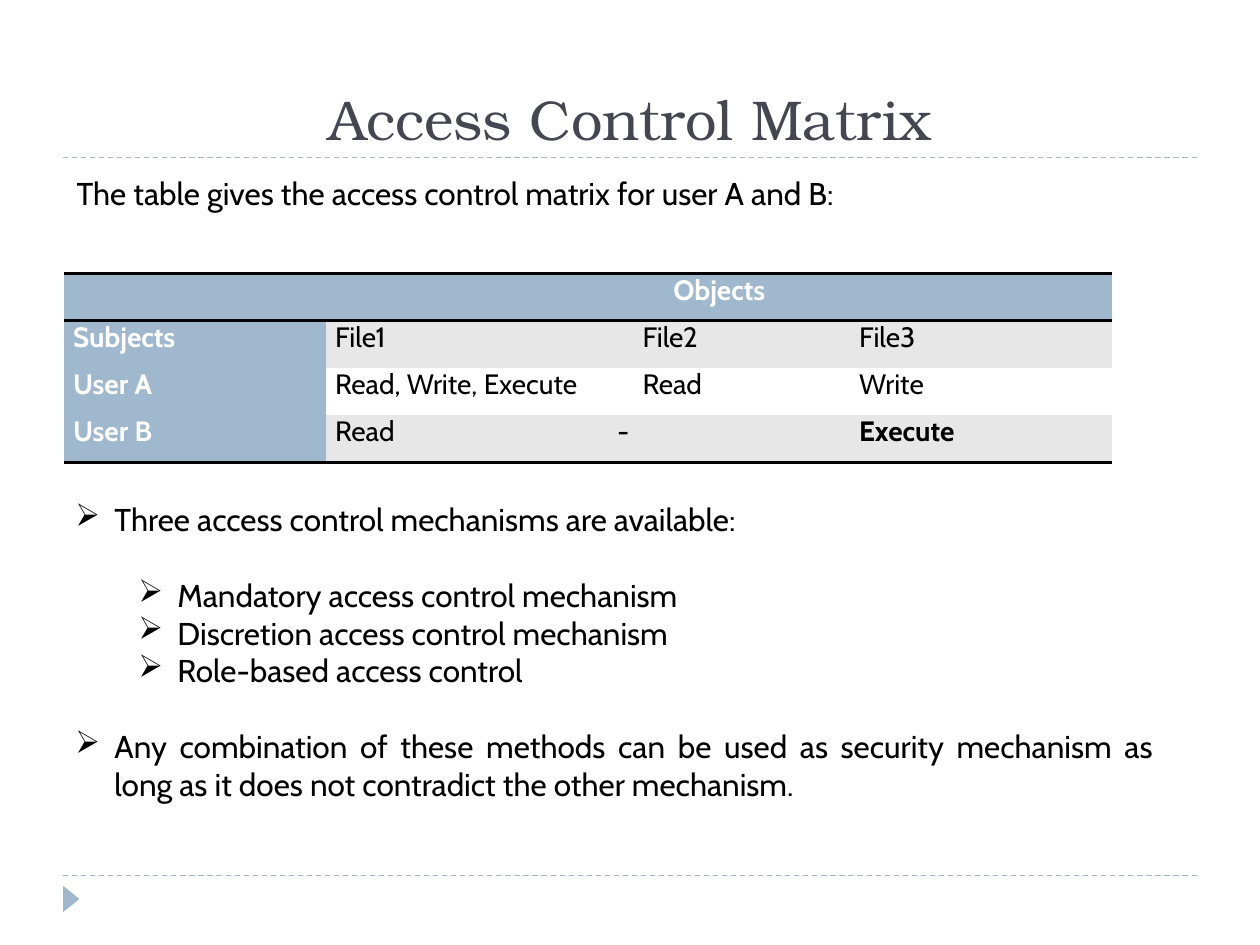
from lxml import etree
from pptx import Presentation
from pptx.dml.color import RGBColor
from pptx.enum.dml import MSO_LINE
from pptx.enum.shapes import MSO_CONNECTOR, MSO_SHAPE
from pptx.enum.text import MSO_ANCHOR, PP_ALIGN
from pptx.oxml import parse_xml
from pptx.oxml.ns import nsdecls, qn
from pptx.util import Inches, Pt

BLUE = RGBColor(0x9F, 0xB8, 0xCD)
GRAY = RGBColor(0xE7, 0xE7, 0xE7)
WHITE = RGBColor(0xFF, 0xFF, 0xFF)
BLACK = RGBColor(0, 0, 0)
SLATE = RGBColor(0x46, 0x46, 0x53)
NO_GRID_STYLE = "{2D5ABB26-0587-4C30-8999-92F81FD0307C}"


def style_paragraph(paragraph, size, color, name="Cabin", bold=False, align=PP_ALIGN.JUSTIFY):
    paragraph.alignment = align
    paragraph.font.name = name
    paragraph.font.size = Pt(size)
    paragraph.font.bold = bold
    paragraph.font.color.rgb = color


def add_text_frame(left, top, width, height):
    frame = slide.shapes.add_textbox(Inches(left), Inches(top), Inches(width), Inches(height)).text_frame
    frame.word_wrap = True
    return frame


presentation = Presentation()
presentation.slide_width, presentation.slide_height = Inches(10), Inches(7.5)
slide = presentation.slides.add_slide(presentation.slide_layouts[6])

for rule_top in (6.95, 1.25):
    rule = slide.shapes.add_connector(
        MSO_CONNECTOR.STRAIGHT, Inches(0.5), Inches(rule_top), Inches(9.5), Inches(rule_top))
    rule.line.color.rgb = BLUE
    rule.line.width = Pt(0.75)
    rule.line.dash_style = MSO_LINE.DASH
    etree.SubElement(rule._element.spPr, qn("a:effectLst"))

marker = slide.shapes.add_shape(
    MSO_SHAPE.ISOSCELES_TRIANGLE, Inches(0.46), Inches(7.07), Inches(0.21), Inches(0.13))
marker.rotation = 90
marker.shadow.inherit = False
marker.fill.solid()
marker.fill.fore_color.rgb = BLUE
marker.line.fill.background()

matrix = [
    ["", "Objects", "", ""],
    ["Subjects", "File1", "File2", "File3"],
    ["User A", "Read, Write, Execute", "Read", "Write"],
    ["User B", "Read", "-", "Execute"],
]
column_widths = [2.08, 2.24, 1.92, 2.08]
table = slide.shapes.add_table(4, 4, Inches(0.51), Inches(2.17), Inches(8.32), Inches(1.5)).table
table.first_row = table.horz_banding = False
table._tbl.tblPr.find(qn("a:tableStyleId")).text = NO_GRID_STYLE
for column, width in zip(table.columns, column_widths):
    column.width = Inches(width)
table.cell(0, 1).merge(table.cell(0, 3))

for row_index, row_texts in enumerate(matrix):
    table.rows[row_index].height = Inches(1.5 / 4)
    for column_index, text in enumerate(row_texts):
        cell = table.cell(row_index, column_index)
        is_header = row_index == 0 or column_index == 0
        cell.margin_left = cell.margin_right = Inches(0.07)
        cell.margin_top = cell.margin_bottom = 0
        cell.fill.solid()
        cell.fill.fore_color.rgb = BLUE if is_header else GRAY if row_index % 2 else WHITE
        paragraph = cell.text_frame.paragraphs[0]
        paragraph.text = text
        paragraph.space_before, paragraph.space_after = Pt(10), Pt(6)
        style_paragraph(
            paragraph, 16, WHITE if is_header else BLACK, bold=is_header or text == "Execute",
            align=PP_ALIGN.JUSTIFY if row_index else PP_ALIGN.CENTER)
        if column_index == 2 and row_index in (1, 2):
            paragraph._p.get_or_add_pPr().set("marL", str(Inches(0.2)))
        edges = {0: ["lnT", "lnB"], 3: ["lnB"]}.get(row_index, [])
        for position, edge in enumerate(edges):
            cell._tc.get_or_add_tcPr().insert(position, parse_xml(
                f'<a:{edge} {nsdecls("a")} w="{Pt(2)}"><a:solidFill>'
                f'<a:srgbClr val="{BLACK}"/></a:solidFill></a:{edge}>'))

introduction = add_text_frame(0.51, 1.33, 8.17, 0.71).paragraphs[0]
introduction.text = "The table gives the access control matrix for user A and B:"
style_paragraph(introduction, 18, BLACK)

mechanisms = [
    ("Three access control mechanisms are available:", 0, 0),
    ("Mandatory access control mechanism", 1, 21.6),
    ("Discretion access control mechanism", 1, 0),
    ("Role-based access control", 1, 0),
    ("Any combination of these methods can be used as security mechanism as long as it "
     "does not contradict the other mechanism.", 0, 21.6),
]
mechanism_frame = add_text_frame(0.5, 3.92, 8.75, 2.52)
for index, (text, level, gap) in enumerate(mechanisms):
    paragraph = mechanism_frame.add_paragraph() if index else mechanism_frame.paragraphs[0]
    paragraph.text = text
    paragraph.level = level
    paragraph.space_before = Pt(gap)
    properties = paragraph._p.get_or_add_pPr()
    properties.set("marL", str(Inches(0.31 + 0.5 * level)))
    properties.set("indent", str(Inches(-0.31)))
    etree.SubElement(properties, qn("a:buChar"), char="➢")
    style_paragraph(paragraph, 18, BLACK)

title_frame = add_text_frame(0.5, 0.25, 9, 1)
title_frame.vertical_anchor = MSO_ANCHOR.BOTTOM
title = title_frame.paragraphs[0]
title.text = "Access Control Matrix"
style_paragraph(title, 32, SLATE, name="TeX Gyre Bonum", align=PP_ALIGN.CENTER)

presentation.save("out.pptx")
